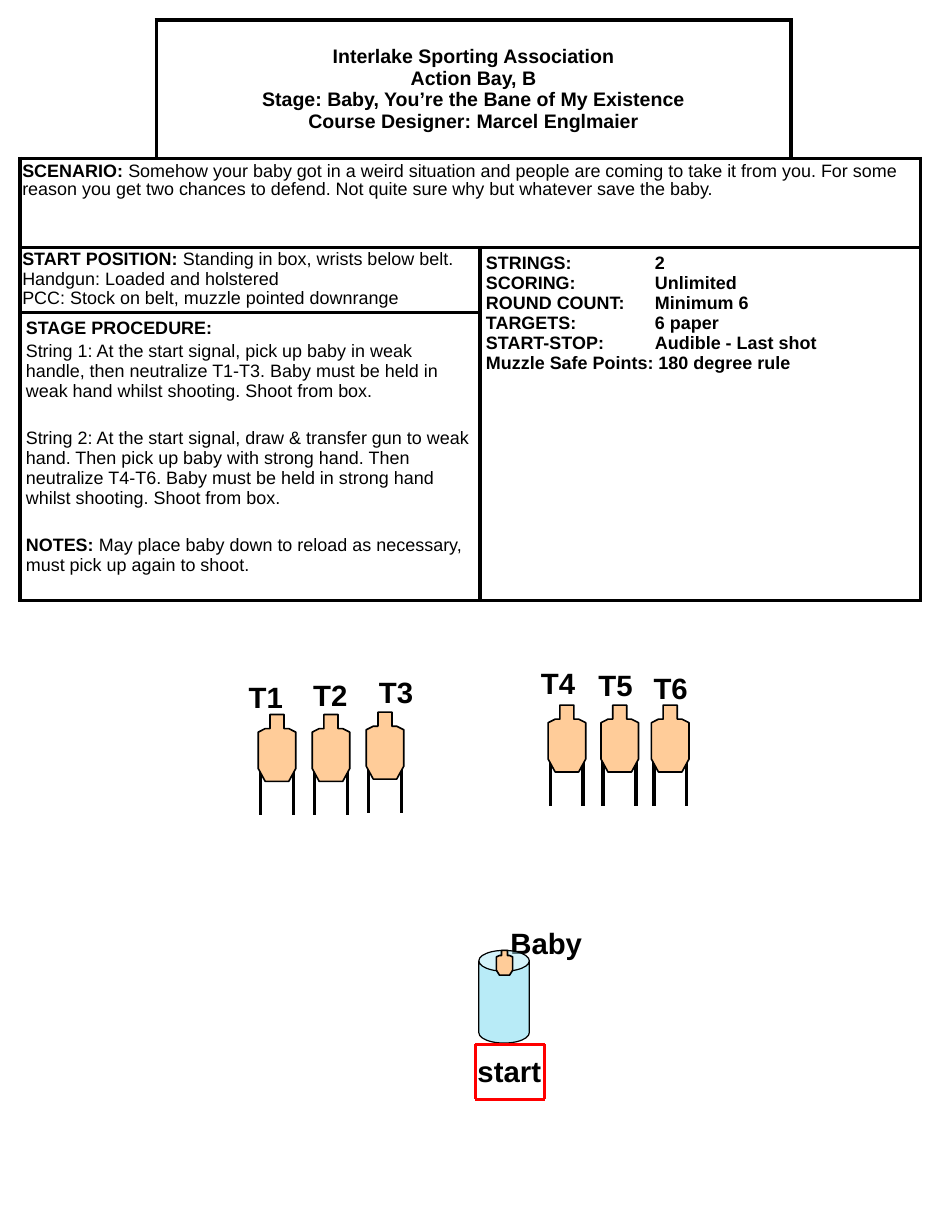
from lxml.etree import SubElement
from pptx import Presentation
from pptx.dml.color import RGBColor
from pptx.enum.shapes import MSO_CONNECTOR, MSO_SHAPE
from pptx.enum.text import MSO_ANCHOR, PP_ALIGN
from pptx.oxml.ns import qn
from pptx.util import Emu, Inches, Pt

BLACK = RGBColor(0x00, 0x00, 0x00)
WHITE = RGBColor(0xFF, 0xFF, 0xFF)
RED = RGBColor(0xFF, 0x00, 0x00)
TAN = RGBColor(0xFF, 0xCC, 0x99)
AQUA = RGBColor(0x73, 0xD9, 0xF1)

# A paragraph is (bold text, plain text, space before in points).
HEADER = [("Interlake Sporting Association\vAction Bay, B\v"
           "Stage: Baby, You’re the Bane of My Existence\v"
           "Course Designer: Marcel Englmaier", "", 0)]
SCENARIO = [("SCENARIO: ", "Somehow your baby got in a weird situation and people "
             "are coming to take it from you. For some reason you get two chances "
             "to defend. Not quite sure why but whatever save the baby.", 0)]
START = [("START POSITION: ", "Standing in box, wrists below belt.", 0),
         ("", "Handgun: Loaded and holstered", 1.1),
         ("", "PCC: Stock on belt, muzzle pointed downrange", 1.1)]
FACTS = [("STRINGS:\t2", "", 0),
         ("SCORING:\tUnlimited", "", 0),
         ("ROUND COUNT:\tMinimum 6", "", 0),
         ("TARGETS:\t6 paper", "", 0),
         ("START-STOP:\tAudible - Last shot", "", 0),
         ("Muzzle Safe Points: 180 degree rule", "", 0)]
STEPS = [("STAGE PROCEDURE:", "", 0),
         ("", "String 1: At the start signal, pick up baby in weak handle, then "
          "neutralize T1-T3. Baby must be held in weak hand whilst shooting. "
          "Shoot from box.", 2.2),
         ("", "String 2: At the start signal, draw & transfer gun to weak hand. "
          "Then pick up baby with strong hand. Then neutralize T4-T6. Baby must "
          "be held in strong hand whilst shooting. Shoot from box.", 16.6),
         ("NOTES: ", "May place baby down to reload as necessary, must pick up "
          "again to shoot.", 16.6)]

COLS = [1.16, 2.76, 2.65, 1.1]
ROWS = [1.18, 0.76, 0.55, 2.46]
# First cell, last cell, content, (side, top) margins, format of each paragraph
CELLS = [
    ((0, 1), (0, 2), HEADER, (0.05, 0.05), {"alignment": PP_ALIGN.CENTER}),
    ((1, 0), (1, 3), SCENARIO, (0.02, 0.04), {"line_spacing": 0.9}),
    ((2, 0), (2, 1), START, (0.02, 0.03), {"line_spacing": 0.9}),
    ((2, 2), (3, 3), FACTS, (0.05, 0.05), {}),
    ((3, 0), (3, 1), STEPS, (0.05, 0.05), {}),
]
OPEN = {(0, 0): "LT", (0, 3): "RT"}  # sides without a border

# Label, label corner, target corner
TARGETS = [("T1", (2.02, 5.74), (2.2, 6.09)), ("T2", (2.57, 5.72), (2.66, 6.09)),
           ("T3", (3.13, 5.7), (3.12, 6.07)), ("T4", (4.51, 5.62), (4.67, 6.01)),
           ("T5", (5, 5.64), (5.12, 6.01)), ("T6", (5.47, 5.66), (5.55, 6.01))]
# Target outline in hundredths of an inch
OUTLINE = [(10, 0), (22, 0), (22, 12), (26, 12), (32, 15), (32, 46),
           (26, 57), (6, 57), (0, 46), (0, 15), (6, 12), (10, 12)]


def style(font, size, bold):
    for key, val in {"name": "Arial", "size": Pt(size), "bold": bold}.items():
        setattr(font, key, val)
    font.color.rgb = BLACK


def border(cell, bare):
    """Draw the four sides of a cell, except the bare ones."""
    props = cell._tc.get_or_add_tcPr()
    for side in "LRTB":
        line = SubElement(props, qn("a:ln" + side), w=str(Pt(2.25)))
        if side in bare:
            SubElement(line, qn("a:noFill"))
        else:
            fill = SubElement(line, qn("a:solidFill"))
            SubElement(fill, qn("a:srgbClr"), val=str(BLACK))


def write(cell, paras, look, size):
    frame = cell.text_frame
    for num, (bold, plain, gap) in enumerate(paras):
        para = frame.add_paragraph() if num else frame.paragraphs[0]
        if "\t" in bold:
            tabs = SubElement(para._p.get_or_add_pPr(), qn("a:tabLst"))
            SubElement(tabs, qn("a:tab"), pos=str(Inches(1.44)), algn="l")
        for key, val in look.items():
            setattr(para, key, val)
        if gap:
            para.space_before = Pt(gap)
        for text, heavy in ((bold, True), (plain, False)):
            for num, part in enumerate(text.split("\v") if text else []):
                if num:
                    para.add_line_break()
                run = para.add_run()
                run.text = part
                style(run.font, size, heavy)


def brief(slide):
    """Lay out the stage description as a table."""
    table = slide.shapes.add_table(
        len(ROWS), len(COLS), Inches(0.17), Inches(0.17),
        Inches(sum(COLS)), Inches(sum(ROWS))).table
    table.first_row = table.horz_banding = False
    for col, wide in zip(table.columns, COLS):
        col.width = Inches(wide)
    for row, high in zip(table.rows, ROWS):
        row.height = Inches(high)
    for r in range(len(ROWS)):
        for c in range(len(COLS)):
            cell = table.cell(r, c)
            border(cell, OPEN.get((r, c), ""))
            cell.fill.solid()
            cell.fill.fore_color.rgb = WHITE
    for first, last, paras, (side, top), look in CELLS:
        cell = table.cell(*first)
        cell.merge(table.cell(*last))
        cell.margin_left = cell.margin_right = Inches(side)
        cell.margin_top = cell.margin_bottom = Inches(top)
        if paras is HEADER:
            cell.vertical_anchor = MSO_ANCHOR.MIDDLE
        write(cell, paras, look, 12 if paras is HEADER else 11)


def label(shapes, text, x, y, wide=0.58):
    box = shapes.add_textbox(Inches(x), Inches(y), Inches(wide), Inches(0.4))
    box.text_frame.word_wrap = True
    run = box.text_frame.paragraphs[0].add_run()
    run.text = text
    style(run.font, 18, True)


def stroke(shapes, x1, y1, x2, y2, color, width):
    line = shapes.add_connector(MSO_CONNECTOR.STRAIGHT, *map(Inches, (x1, y1, x2, y2)))
    line.line.color.rgb = color
    line.line.width = Pt(width)
    SubElement(line._element.spPr, qn("a:effectLst"))


def paint(shape, fill, width):
    shape.shadow.inherit = False
    shape.fill.solid()
    shape.fill.fore_color.rgb = fill
    shape.line.color.rgb = BLACK
    shape.line.width = Pt(width)


def body(shapes, x, y, wide=1, high=1):
    """Draw the target outline, scaled by wide and high."""
    unit = Inches(0.01)
    pen = shapes.build_freeform(*OUTLINE[0], scale=(unit * wide, unit * high))
    pen.add_line_segments(OUTLINE[1:], close=True)
    paint(pen.convert_to_shape(Emu(Inches(x)), Emu(Inches(y))), TAN, 1)


def main():
    deck = Presentation()
    deck.slide_width, deck.slide_height = Inches(8), Inches(10.5)
    slide = deck.slides.add_slide(deck.slide_layouts[6])
    shapes = slide.shapes
    brief(slide)

    for name, spot, (x, y) in TARGETS:
        label(shapes, name, *spot)
        stand = shapes.add_group_shape().shapes
        for leg in (x + 0.02, x + 0.3):
            stroke(stand, leg, y + 0.42, leg, y + 0.86, BLACK, 2.25)
        body(stand, x, y)

    label(shapes, "Baby", 4.25, 7.84, 0.83)
    barrel = shapes.add_shape(MSO_SHAPE.CAN, *map(Inches, (4.08, 8.1, 0.43, 0.79)))
    barrel.adjustments[0] = 0.413
    paint(barrel, AQUA, 0.75)
    tint = barrel._element.spPr.find(qn("a:solidFill"))[0]
    SubElement(tint, qn("a:alpha"), val="50000")
    body(shapes, 4.23, 8.1, 0.43, 0.37)

    pad = shapes.add_group_shape().shapes
    left, top, right, base = 4.05, 8.9, 4.64, 9.37
    for ends in ((left, top, right, top), (right, top, right, base),
                 (left, top, left, base), (left, base, right, base)):
        stroke(pad, *ends, RED, 2)
    label(pad, "start", 3.97, 8.93, 0.86)
    deck.save("out.pptx")


if __name__ == "__main__":
    main()
